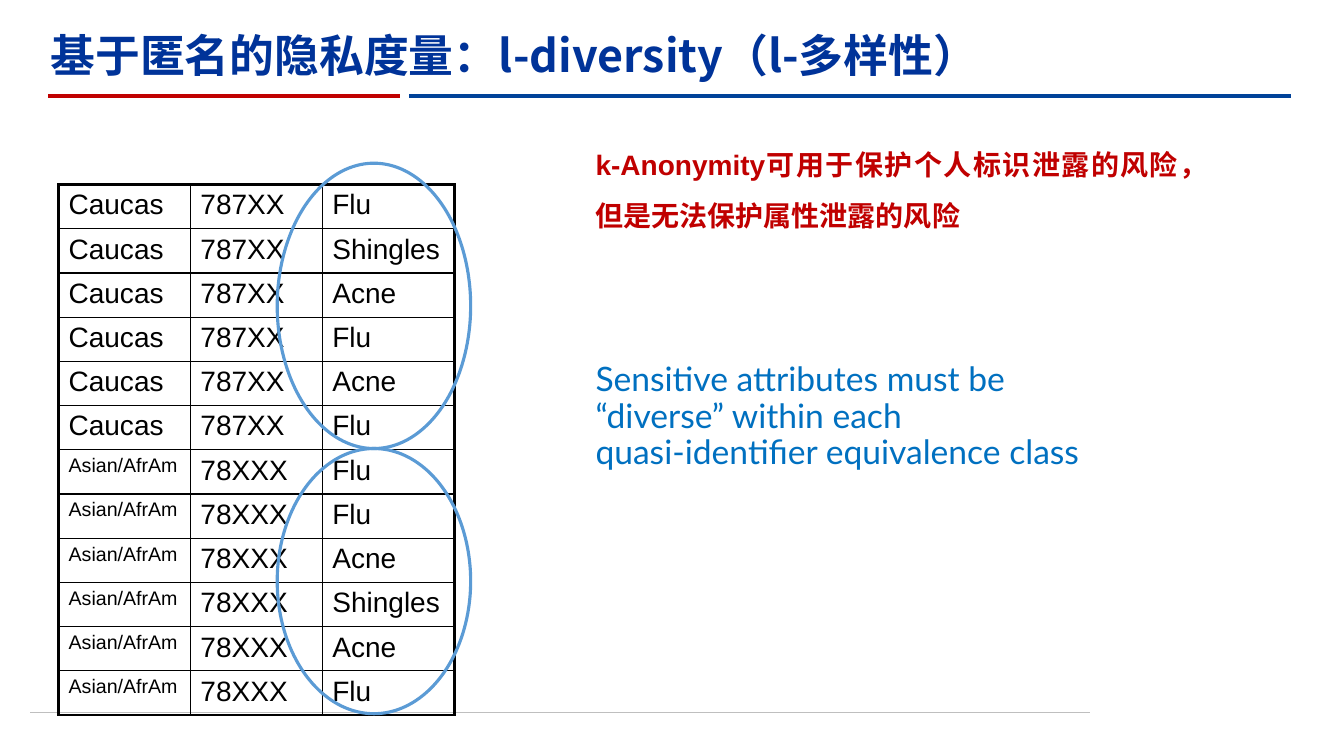
import pptx
import pptx.util
import pptx.dml.color
import pptx.enum.shapes
import pptx.enum.text
import pptx.oxml
import pptx.oxml.ns

Pt = pptx.util.Pt
Anchor = pptx.enum.text.MSO_ANCHOR
Align = pptx.enum.text.PP_ALIGN
Shape = pptx.enum.shapes.MSO_SHAPE
Wire = pptx.enum.shapes.MSO_CONNECTOR

HUES = {"grey": "BFBFBF", "navy": "004299", "red": "C00000", "title": "003399",
        "black": "000000", "note": "0070C0", "ring": "5B9BD5"}
HAN = "Noto Sans CJK SC"


def hue(name):
    return pptx.dml.color.RGBColor.from_string(HUES[name])


def node(tag, inner="", **attrs):
    pairs = "".join(f' {key}="{val}"' for key, val in attrs.items())
    names = pptx.oxml.ns.nsdecls("a")
    return pptx.oxml.parse_xml(f"<a:{tag} {names}{pairs}>{inner}</a:{tag}>")


class Deck:
    def __init__(self, wide, high):
        self.pres = pptx.Presentation()
        self.pres.slide_width, self.pres.slide_height = Pt(wide), Pt(high)
        self.slide = self.pres.slides.add_slide(self.pres.slide_layouts[5])
        self.items = self.slide.shapes

    def style(self, para, text, font, size, color, bold=False, **form):
        """Write one run and format it with its paragraph."""
        run = para.add_run()
        run.text = text
        for key, val in {"name": font, "size": Pt(size), "bold": bold}.items():
            setattr(run.font, key, val)
        run.font.color.rgb = hue(color)
        run.font._element.append(node("ea", typeface=HAN))
        for key, val in form.items():
            setattr(para, key, val)

    def fill(self, frame, lines, look, anchor=Anchor.TOP):
        form = {"word_wrap": True, "vertical_anchor": anchor,
                "auto_size": pptx.enum.text.MSO_AUTO_SIZE.NONE}
        for key, val in form.items():
            setattr(frame, key, val)
        for i, line in enumerate(lines):
            para = frame.add_paragraph() if i else frame.paragraphs[0]
            self.style(para, line, **look)

    def title(self, box, text, **look):
        head = self.items.title
        for key, val in zip(("left", "top", "width", "height"), box):
            setattr(head, key, Pt(val))
        self.fill(head.text_frame, [text], look, Anchor.MIDDLE)

    def text(self, box, lines, **look):
        self.fill(self.items.add_textbox(*map(Pt, box)).text_frame, lines, look)

    def rule(self, left, right, y, color, width):
        line = self.items.add_connector(Wire.STRAIGHT, *map(Pt, (left, y, right, y)))
        line.line.color.rgb, line.line.width = hue(color), Pt(width)
        line._element.spPr.append(node("effectLst"))

    def ring(self, *box):
        oval = self.items.add_shape(Shape.OVAL, *map(Pt, box))
        oval.shadow.inherit = False
        oval.fill.background()
        oval.line.color.rgb, oval.line.width = hue("ring"), Pt(2.25)

    def edge(self, cell, sides):
        """Draw the four cell borders, thick where a side is outer."""
        paint = f'<a:solidFill><a:srgbClr val="{HUES["black"]}"/></a:solidFill>'
        props = cell._tc.get_or_add_tcPr()
        for side, outer in sides.items():
            width = Pt(2.25 if outer else 1)
            props.append(node("ln" + side, paint, w=int(width)))
        cell.fill.background()

    def table(self, box, rows):
        high, wide = len(rows), len(rows[0])
        grid = self.items.add_table(high, wide, *map(Pt, box)).table
        grid.first_row = grid.horz_banding = False
        for col in grid.columns:
            col.width = Pt(box[2] / wide)
        for r, row in enumerate(rows):
            grid.rows[r].height = Pt(box[3] / high)
            for c, word in enumerate(row):
                cell = grid.cell(r, c)
                self.edge(cell, {"L": c == 0, "R": c == wide - 1,
                                 "T": r == 0, "B": r == high - 1})
                size = 14 if "/" in word else 20
                self.style(cell.text_frame.paragraphs[0], word, "Arial", size, "black")


def main():
    deck = Deck(960, 540)

    # Title and rules
    deck.rule(21.6, 778.3, 509, "grey", 0.5)
    deck.rule(292.3, 922.3, 68.4, "navy", 3)
    deck.rule(34.6, 285.8, 68.4, "red", 3)
    deck.title((28.8, 8.6, 753, 60.5), "基于匿名的隐私度量：l-diversity（l-多样性）",
               font=HAN, size=32, color="title", bold=True, alignment=Align.LEFT)

    # Table: two equivalence classes of six rows
    groups = [("Caucas", "787XX", "Flu Shingles Acne Flu Acne Flu"),
              ("Asian/AfrAm", "78XXX", "Flu Flu Acne Shingles Acne Flu")]
    rows = [(race, code, ill) for race, code, ills in groups for ill in ills.split()]
    deck.table((41.8, 131.8, 282.6, 379.2), rows)

    # Notes
    deck.text((418.3, 255.6, 372.2, 85.7),
              ["Sensitive attributes must be", "“diverse” within each",
               "quasi-identifier equivalence class"],
              font="Lato", size=24, color="note", line_spacing=0.9)
    deck.text((418.3, 90, 451.4, 75.6),
              ["k-Anonymity可用于保护个人标识泄露的风险，但是无法保护属性泄露的风险"],
              font="Arial", size=20, color="red", bold=True,
              alignment=Align.JUSTIFY, line_spacing=1.5)

    # Rings around the sensitive values
    deck.ring(198, 116.6, 138.2, 203.8)
    deck.ring(198, 320.4, 138.2, 189.4)

    deck.pres.save("out.pptx")


if __name__ == "__main__":
    main()
